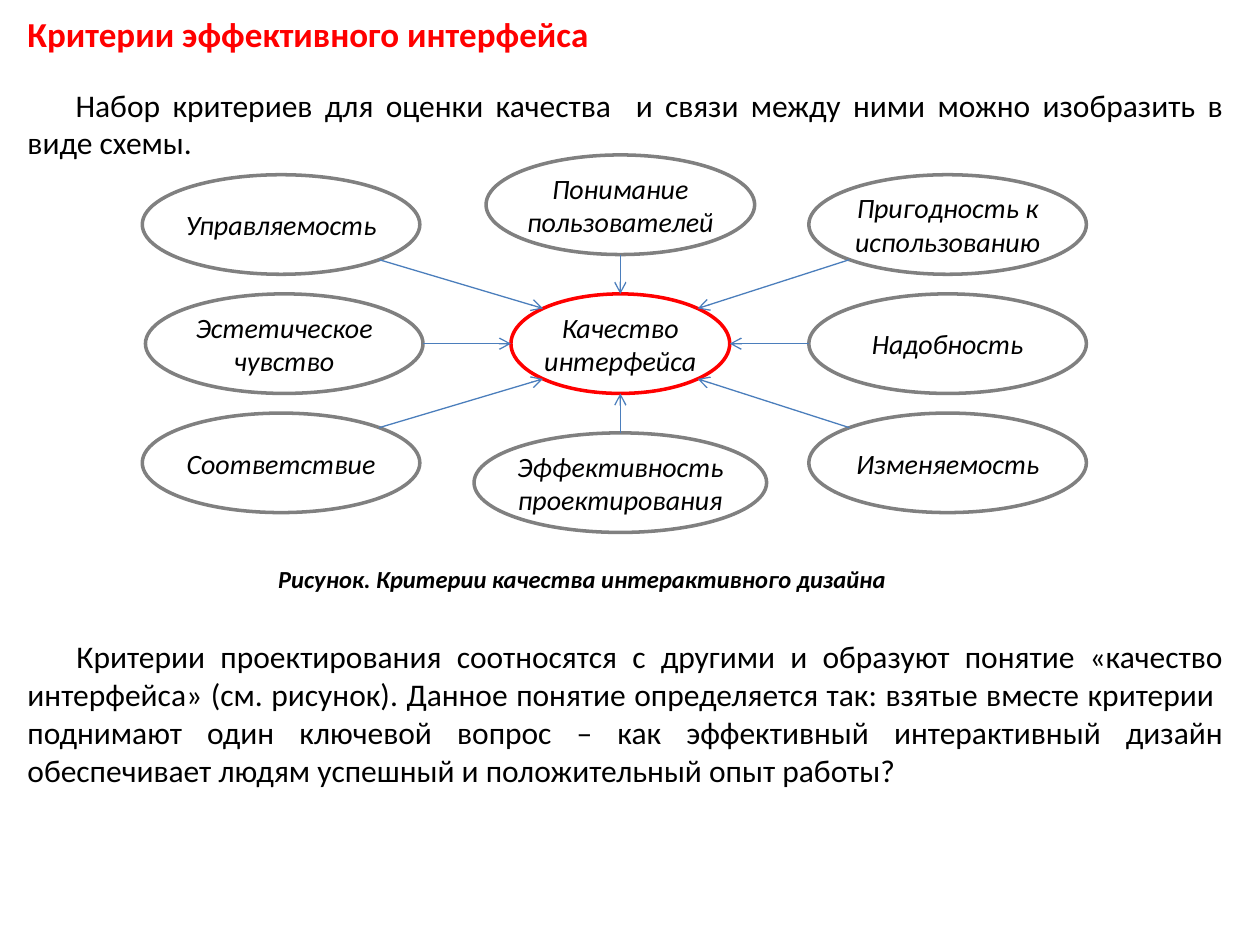
"""Build a slide showing the criteria of an effective interface around a central hub."""
from dataclasses import dataclass
from math import sqrt

from lxml.etree import SubElement
from pptx import Presentation
from pptx.dml.color import RGBColor
from pptx.enum.shapes import MSO_CONNECTOR, MSO_SHAPE
from pptx.enum.text import MSO_ANCHOR, MSO_AUTO_SIZE, PP_ALIGN
from pptx.oxml.ns import qn
from pptx.shapes.autoshape import Shape
from pptx.slide import Slide
from pptx.text.text import _Paragraph as Paragraph
from pptx.util import Pt

RED = RGBColor(0xFF, 0x00, 0x00)
GRAY = RGBColor(0x80, 0x80, 0x80)
BLUE = RGBColor(0x4B, 0x7E, 0xBC)
BLACK = RGBColor(0x00, 0x00, 0x00)
FONT = "Calibri"
OVAL_HEIGHT = 56.9


@dataclass(frozen=True)
class TextBlock:
    text: str
    left: float
    top: float
    width: float
    height: float
    size: float
    color: RGBColor = BLACK
    bold: bool = False
    italic: bool = False
    indent: float = 0


@dataclass(frozen=True)
class Oval:
    text: str
    center_x: float
    center_y: float
    width: float
    across: int = 0
    down: int = 0
    color: RGBColor = GRAY

    def rim(self, across: int, down: int) -> tuple[float, float]:
        """Return the point of the outline that lies in the given direction."""
        scale = 1 / sqrt(across ** 2 + down ** 2)
        return (self.center_x + across * scale * self.width / 2,
                self.center_y + down * scale * OVAL_HEIGHT / 2)


TEXT_BLOCKS = [
    TextBlock("Критерии эффективного интерфейса", 8.6, 3.6, 337.7, 31.5, 20, RED, bold=True),
    TextBlock("Набор критериев для оценки качества  и связи между ними можно "
              "изобразить в виде схемы.", 8.6, 45.4, 697.7, 51, 18, indent=27.5),
    TextBlock("Рисунок. Критерии качества интерактивного дизайна",
              151.9, 319, 364.3, 24.3, 14, bold=True, italic=True),
    TextBlock("Критерии проектирования соотносятся с другими и образуют понятие "
              "«качество интерфейса» (см. рисунок). Данное понятие определяется так: "
              "взятые вместе критерии  поднимают один ключевой вопрос – как эффективный "
              "интерактивный дизайн обеспечивает людям успешный и положительный опыт "
              "работы?", 8.6, 360.7, 697.7, 94.3, 18, indent=28),
]

HUB = Oval("Качество интерфейса", 354.5, 196.4, 125, color=RED)
CRITERIA = [
    Oval("Понимание пользователей", 354.5, 117, 153.5, 0, -1),
    Oval("Управляемость", 160.6, 128.3, 158.6, -1, -1),
    Oval("Эстетическое чувство", 162.4, 196.4, 158.6, -1, 0),
    Oval("Соответствие", 160.6, 264.5, 158.6, -1, 1),
    Oval("Эффективность проектирования", 354.5, 275.8, 167.2, 0, 1),
    Oval("Надобность", 541.5, 196.4, 158.6, 1, 0),
    Oval("Пригодность к использованию", 541.5, 128.3, 158.6, 1, -1),
    Oval("Изменяемость", 541.5, 264.5, 158.6, 1, 1),
]


def style_paragraph(paragraph: Paragraph, size: float, color: RGBColor,
                    bold: bool, italic: bool) -> None:
    font = paragraph.font
    font.name = FONT
    font.size = Pt(size)
    font.color.rgb = color
    font.bold = bold
    font.italic = italic


def add_text_block(slide: Slide, block: TextBlock) -> None:
    shape = slide.shapes.add_textbox(
        Pt(block.left), Pt(block.top), Pt(block.width), Pt(block.height))
    frame = shape.text_frame
    frame.word_wrap = block.indent > 0
    frame.auto_size = MSO_AUTO_SIZE.SHAPE_TO_FIT_TEXT
    paragraph = frame.paragraphs[0]
    paragraph.text = block.text
    style_paragraph(paragraph, block.size, block.color, block.bold, block.italic)
    if block.indent:
        paragraph.alignment = PP_ALIGN.JUSTIFY
        properties = paragraph._p.get_or_add_pPr()
        properties.set("indent", str(Pt(block.indent)))


def add_oval(slide: Slide, oval: Oval) -> Shape:
    shape = slide.shapes.add_shape(
        MSO_SHAPE.OVAL, Pt(oval.center_x - oval.width / 2),
        Pt(oval.center_y - OVAL_HEIGHT / 2), Pt(oval.width), Pt(OVAL_HEIGHT))
    shape.shadow.inherit = False
    shape.fill.background()
    shape.line.color.rgb = oval.color
    shape.line.width = Pt(2)
    frame = shape.text_frame
    frame.word_wrap = True
    frame.vertical_anchor = MSO_ANCHOR.MIDDLE
    frame.margin_left = frame.margin_right = frame.margin_top = frame.margin_bottom = Pt(0)
    paragraph = frame.paragraphs[0]
    paragraph.text = oval.text
    paragraph.alignment = PP_ALIGN.CENTER
    style_paragraph(paragraph, 16, BLACK, False, True)
    return shape


def add_arrow(slide: Slide, criterion: Oval) -> None:
    start = criterion.rim(-criterion.across, -criterion.down)
    end = HUB.rim(criterion.across, criterion.down)
    connector = slide.shapes.add_connector(
        MSO_CONNECTOR.STRAIGHT, *(Pt(value) for value in start + end))
    connector.line.color.rgb = BLUE
    connector.line.width = Pt(0.75)
    SubElement(connector.line._get_or_add_ln(), qn("a:tailEnd"), type="arrow")
    SubElement(connector._element.spPr, qn("a:effectLst"))


def main() -> None:
    presentation = Presentation()
    presentation.slide_width = Pt(720)
    presentation.slide_height = Pt(540)
    slide = presentation.slides.add_slide(presentation.slide_layouts[6])
    for oval in [HUB, *CRITERIA]:
        add_oval(slide, oval)
    for criterion in CRITERIA:
        add_arrow(slide, criterion)
    for block in TEXT_BLOCKS:
        add_text_block(slide, block)
    presentation.save("out.pptx")


main()
